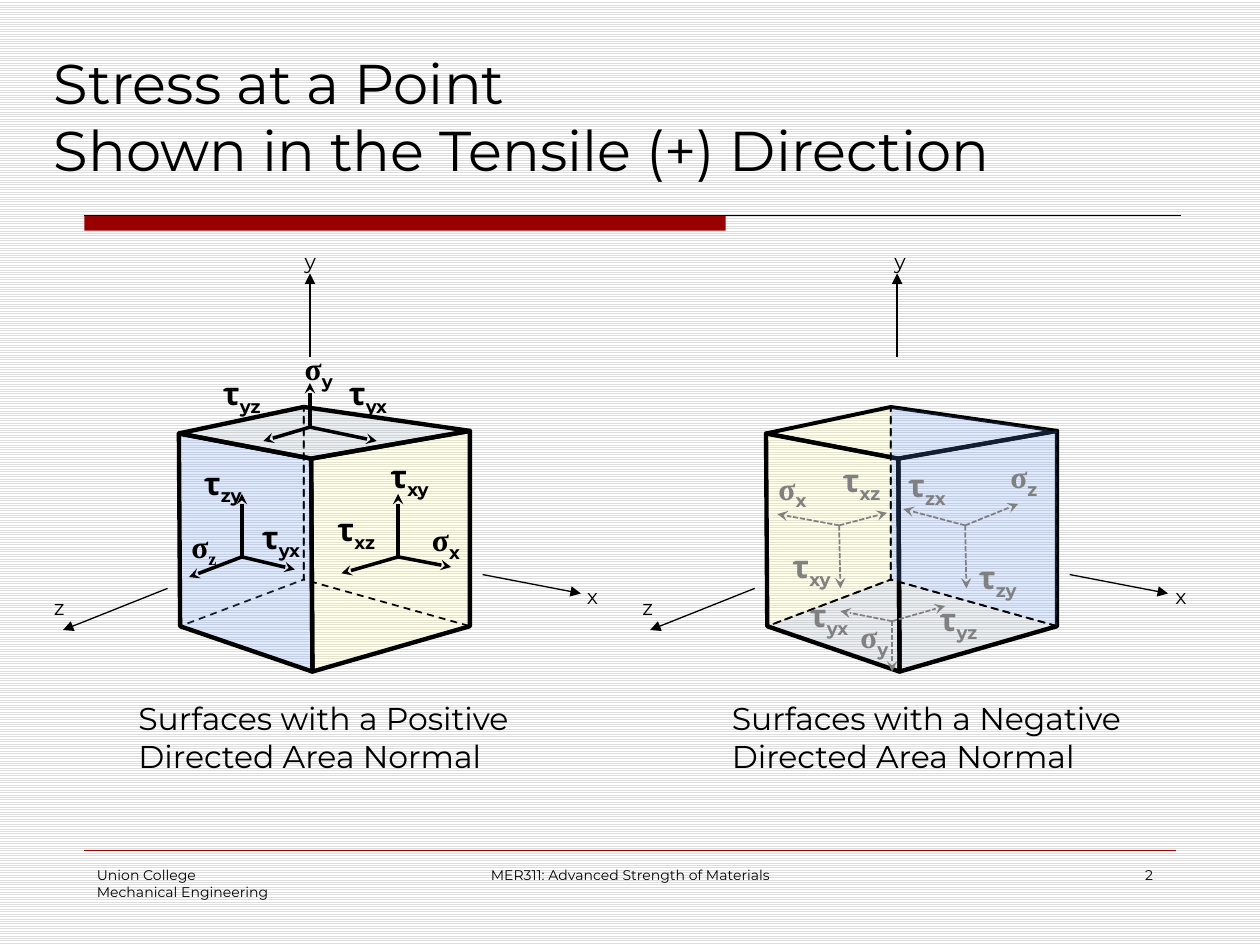
from lxml.etree import SubElement
from pptx import Presentation
from pptx.dml.color import RGBColor
from pptx.enum.dml import MSO_LINE, MSO_PATTERN
from pptx.enum.shapes import MSO_CONNECTOR, MSO_SHAPE
from pptx.enum.text import MSO_ANCHOR, PP_ALIGN
from pptx.oxml.ns import qn
from pptx.util import Inches, Pt

BLACK = RGBColor(0x00, 0x00, 0x00)
WHITE = RGBColor(0xFF, 0xFF, 0xFF)
STRIPE = RGBColor(0xDD, 0xDD, 0xDD)
GRAY = RGBColor(0x80, 0x80, 0x80)
RED = RGBColor(0x99, 0x00, 0x00)
BLUE = RGBColor(0x66, 0x99, 0xFF)
YELLOW = RGBColor(0xFF, 0xFF, 0x99)
SLATE = RGBColor(0xA3, 0xB2, 0xC1)

SANS, SERIF = "Montserrat", "Times New Roman"
CUBE_STEP = 4.66

VERTICES = {
    "A": (1.42, 3.44), "B": (2.47, 3.64), "C": (3.73, 3.42), "D": (2.41, 3.23),
    "E": (1.43, 4.97), "F": (2.48, 5.33), "G": (3.73, 4.97), "H": (2.41, 4.6),
}
POSITIVE_FACES = [
    ("BCGF", YELLOW, 2.5, None),
    ("DAEH", None, 1, MSO_LINE.DASH),
    ("ABFE", BLUE, 2.5, None),
    ("ABCD", SLATE, 2.5, None),
    ("DCGH", None, 1, MSO_LINE.DASH),
]
NEGATIVE_FACES = [
    ("EFGH", SLATE, 1, MSO_LINE.DASH),
    ("DAEH", YELLOW, 1, MSO_LINE.DASH),
    ("ABFE", None, 2.5, None),
    ("BCGF", None, 2.5, None),
    ("ABCD", None, 2.25, None),
    ("DCGH", BLUE, 1, MSO_LINE.DASH),
]
POSITIVE_ARROWS = [
    ((2.46, 3.39), [(2.09, 3.5), (2.99, 3.5), (2.46, 3.04)]),
    ((1.92, 4.42), [(1.5, 4.58), (2.34, 4.52), (1.92, 3.92)]),
    ((3.16, 4.42), [(2.71, 4.55), (3.58, 4.5), (3.16, 3.92)]),
]
NEGATIVE_ARROWS = [
    ((7.08, 4.93), [(7.5, 4.81), (6.67, 4.85), (7.08, 5.33)]),
    ((7.66, 4.17), [(8.08, 4), (7.17, 4.04), (7.67, 4.67)]),
    ((6.66, 4.17), [(7.04, 4.07), (6.17, 4.08), (6.67, 4.67)]),
]
POSITIVE_STRESSES = [
    ("τ", "xz", 2.58, 4), ("σ", "x", 3.33, 4.08), ("σ", "y", 2.32, 2.72),
    ("σ", "z", 1.42, 4.13), ("τ", "xy", 3, 3.58), ("τ", "yz", 1.67, 2.92),
    ("τ", "yx", 1.98, 4.06), ("τ", "zy", 1.52, 3.63), ("τ", "yx", 2.67, 2.92),
]
NEGATIVE_STRESSES = [
    ("σ", "y", 6.73, 4.85), ("τ", "yx", 6.33, 4.68), ("τ", "xz", 6.59, 3.61),
    ("σ", "x", 6.08, 3.67), ("σ", "z", 7.92, 3.58), ("τ", "xy", 6.19, 4.29),
    ("τ", "yz", 7.36, 4.71), ("τ", "zx", 7.11, 3.65), ("τ", "zy", 7.67, 4.38),
]
AXES = [
    ((2.46, 2.83), (2.46, 2.17)),
    ((3.83, 4.56), (4.61, 4.71)),
    ((1.33, 4.67), (0.5, 5)),
]


def add_text(s, text, x, y, w, h, size=18, font=SANS, color=BLACK, bold=False,
             align=PP_ALIGN.LEFT, anchor=MSO_ANCHOR.TOP, wrap=True, sub="", sub_font=SANS):
    tf = s.shapes.add_textbox(Inches(x), Inches(y), Inches(w), Inches(h)).text_frame
    tf.word_wrap = wrap
    tf.vertical_anchor = anchor
    for i, line in enumerate(text.split("\n")):
        p = tf.paragraphs[0] if i == 0 else tf.add_paragraph()
        p.text = line
        p.alignment = align
        for r in p.runs:
            r.font.name = font
        if sub:
            r = p.add_run()
            r.text = sub
            r.font.name = sub_font
            r._r.get_or_add_rPr().set("baseline", "-25000")
        for r in p.runs:
            r.font.size = Pt(size)
            r.font.bold = bold
            r.font.color.rgb = color


def add_line(s, start, end, color=BLACK, width=0.75, dash=None, head=None):
    sp = s.shapes.add_connector(MSO_CONNECTOR.STRAIGHT, *map(Inches, start + end))
    sp.line.color.rgb = color
    sp.line.width = Pt(width)
    if dash:
        sp.line.dash_style = dash
    if head:
        SubElement(sp.line._get_or_add_ln(), qn("a:tailEnd"), type=head)
    SubElement(sp._element.spPr, qn("a:effectLst"))


def add_face(s, corners, dx, color, width, dash):
    points = [(Inches(VERTICES[c][0] + dx), Inches(VERTICES[c][1])) for c in corners]
    builder = s.shapes.build_freeform(*points[0], scale=1.0)
    builder.add_line_segments(points[1:], close=True)
    sp = builder.convert_to_shape()
    sp.shadow.inherit = False
    if color is None:
        sp.fill.background()
    else:
        sp.fill.solid()
        sp.fill.fore_color.rgb = color
        clr = sp._element.spPr.find(qn("a:solidFill"))[0]
        SubElement(clr, qn("a:alpha"), val="20000")
    sp.line.color.rgb = BLACK
    sp.line.width = Pt(width)
    if dash:
        sp.line.dash_style = dash


def add_cube(s, dx, faces, arrows, stresses, color, width, dash):
    for corners, fill, outline, style in faces:
        add_face(s, corners, dx, fill, outline, style)
    for origin, tips in arrows:
        for tip in tips:
            add_line(s, origin, tip, color, width, dash, "stealth")
    for (x1, y1), (x2, y2) in AXES:
        add_line(s, (x1 + dx, y1), (x2 + dx, y2), head="triangle")
    for symbol, sub, x, y in stresses:
        w, h, font = (0.44, 0.4, SERIF) if symbol == "σ" else (0.53, 0.71, SANS)
        sub_font = SERIF if sub == "z" and color == BLACK else SANS
        add_text(s, symbol, x, y, w, h, font=font, color=color, bold=True,
                 wrap=False, sub=sub, sub_font=sub_font)


def add_frame(s):
    fill = s.background.fill
    fill.patterned()
    fill.pattern = MSO_PATTERN.LIGHT_HORIZONTAL
    fill.fore_color.rgb = STRIPE
    fill.back_color.rgb = WHITE
    bar = s.shapes.add_shape(MSO_SHAPE.RECTANGLE, Inches(0.67), Inches(1.71),
                             Inches(5.09), Inches(0.12))
    bar.shadow.inherit = False
    bar.fill.solid()
    bar.fill.fore_color.rgb = RED
    bar.line.fill.background()
    add_line(s, (0.67, 1.71), (9.37, 1.71))
    add_line(s, (0.67, 6.75), (9.33, 6.75), RED, 0.25)
    add_text(s, "Stress at a Point\vShown in the Tensile (+) Direction",
             0.33, 0.17, 9.42, 1.33, size=32, anchor=MSO_ANCHOR.BOTTOM)
    add_text(s, "Union College\nMechanical Engineering", 0.67, 6.83, 2.08, 0.5, size=8)
    add_text(s, "MER311: Advanced Strength of Materials", 3.42, 6.83, 3.17, 0.5,
             size=8, align=PP_ALIGN.CENTER)
    add_text(s, "2", 7.17, 6.83, 2.08, 0.5, size=8, align=PP_ALIGN.RIGHT)


def main():
    prs = Presentation()
    prs.slide_width, prs.slide_height = Inches(10), Inches(7.5)
    s = prs.slides.add_slide(prs.slide_layouts[6])
    add_frame(s)
    add_cube(s, 0, POSITIVE_FACES, POSITIVE_ARROWS, POSITIVE_STRESSES, BLACK, 2, None)
    add_cube(s, CUBE_STEP, NEGATIVE_FACES, NEGATIVE_ARROWS, NEGATIVE_STRESSES,
             GRAY, 1, MSO_LINE.SQUARE_DOT)
    for name, x, y in [("z", 0.33, 4.67), ("y", 2.32, 1.92), ("x", 4.56, 4.58),
                       ("z", 5, 4.67), ("y", 7, 1.92), ("x", 9.23, 4.58)]:
        add_text(s, name, x, y, 0.33, 0.3, size=12)
    for sign, x, w in [("Positive", 1, 3.54), ("Negative", 5.71, 3.67)]:
        add_text(s, f"Surfaces with a {sign}\nDirected Area Normal", x, 5.5, w, 0.71)
    prs.save("out.pptx")


main()
